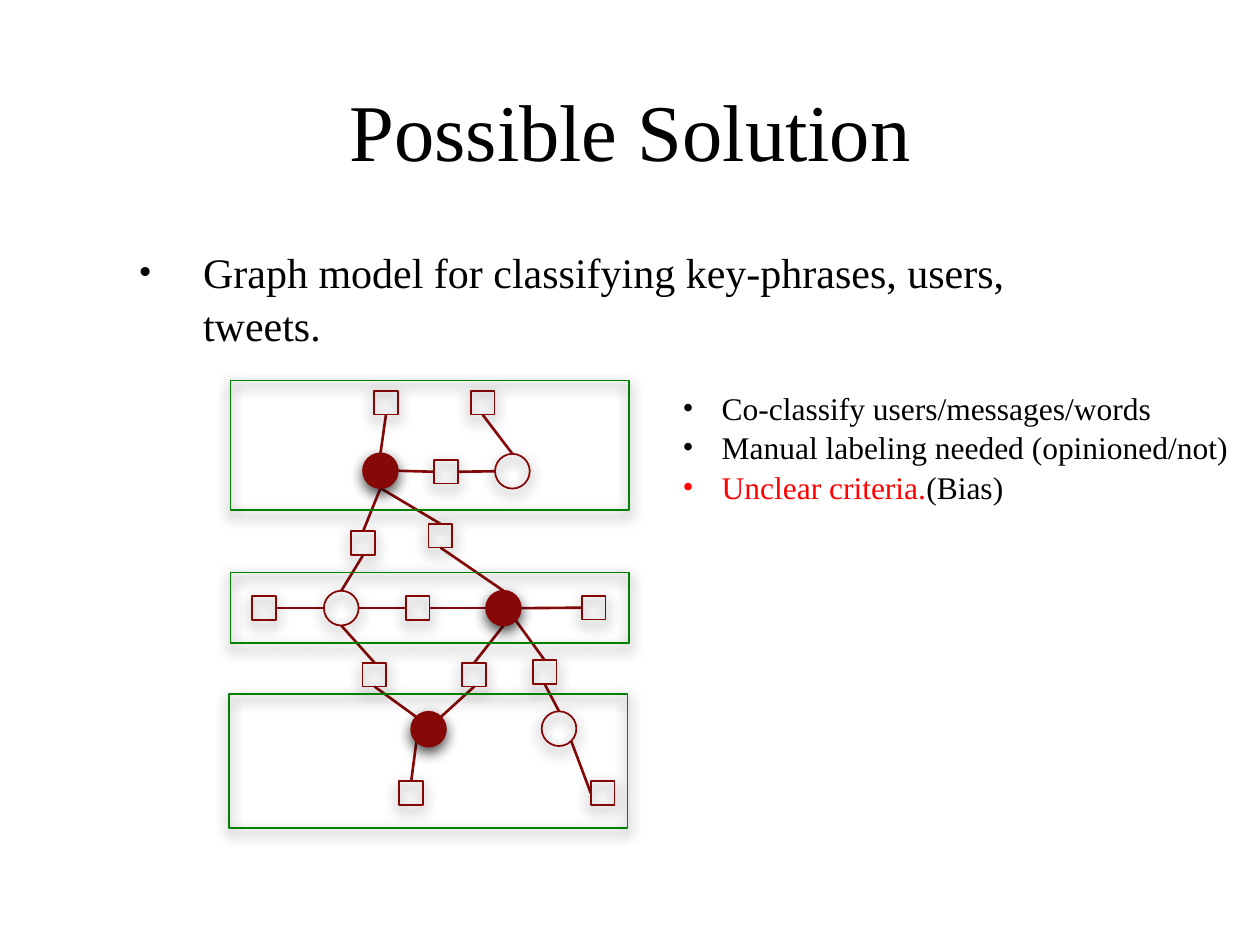
"""Build the slide on a graph model for classifying key-phrases, users and tweets."""
from lxml.etree import SubElement
from pptx import Presentation
from pptx.dml.color import RGBColor
from pptx.enum.shapes import MSO_CONNECTOR, MSO_SHAPE
from pptx.enum.text import MSO_ANCHOR, MSO_AUTO_SIZE, PP_ALIGN
from pptx.oxml.ns import qn
from pptx.util import Cm, Pt


def color(code):
    return RGBColor.from_string(code)


def write(para, text, size=18, ink="000000", indent=0, scale=100, before=0, align=PP_ALIGN.LEFT):
    para.alignment = align
    para.space_before = Pt(before)
    if indent and not para.runs:
        para.line_spacing = 1.05
        props = para._p.get_or_add_pPr()
        props.set("marL", str(Cm(indent)))
        props.set("indent", str(-Cm(indent)))
        SubElement(props, qn("a:buSzPct"), val=str(scale * 1000))
        SubElement(props, qn("a:buFont"), typeface="Times New Roman")
        SubElement(props, qn("a:buChar"), char="•")
    run = para.add_run()
    run.text = text
    run.font.name = "Times New Roman"
    run.font.size = Pt(size)
    run.font.color.rgb = color(ink)


deck = Presentation()
deck.slide_width, deck.slide_height = Cm(25.4), Cm(19.05)
slide = deck.slides.add_slide(deck.slide_layouts[1])

title, body = slide.placeholders
title.left, title.top, title.width, title.height = Cm(2.54), Cm(1.4), Cm(20.32), Cm(2.41)
body.left, body.top, body.width, body.height = Cm(2.54), Cm(4.8), Cm(20.32), Cm(11.28)
for holder in (title, body):
    holder.text_frame.auto_size = MSO_AUTO_SIZE.NONE
title.text_frame.vertical_anchor = MSO_ANCHOR.MIDDLE
write(title.text_frame.paragraphs[0], "Possible Solution", size=46, align=PP_ALIGN.CENTER)
write(body.text_frame.paragraphs[0], "Graph model for classifying key-phrases, users, tweets.",
      size=24, indent=1.3, scale=90, before=20)

circles = {
    "A": (7.67, 9.49, True), "B": (10.33, 9.5, False),
    "C": (6.88, 12.26, False), "D": (10.15, 12.26, True),
    "E": (8.64, 14.7, True), "F": (11.27, 14.69, False),
}
squares = {
    "a": (7.78, 8.12), "b": (9.73, 8.12), "c": (8.99, 9.51), "d": (7.32, 10.95),
    "e": (8.88, 10.8), "f": (5.32, 12.26), "g": (8.42, 12.26), "h": (11.97, 12.25),
    "i": (7.55, 13.6), "j": (9.56, 13.6), "k": (10.98, 13.55),
    "l": (8.29, 15.99), "m": (12.15, 15.99),
}
frames = [(4.65, 7.67, 2.62), (4.65, 11.54, 1.43), (4.62, 13.99, 2.7)]
sides = {
    "n": (0, -0.5), "s": (0, 0.5), "e": (0.5, 0), "w": (-0.5, 0),
    "ne": (0.35, -0.35), "nw": (-0.35, -0.35), "se": (0.35, 0.35), "sw": (-0.35, 0.35),
}
links = [
    "a s A n", "b s B n", "A e c w", "c e B w", "A s d n", "d s C n", "C e g w",
    "g e D w", "A s e n", "e s D n", "f e C w", "D e h w", "C s i n", "i s E nw",
    "D s j n", "j s E ne", "E sw l n", "F se m w", "D se k n", "k s F n",
]
round_size, square_size = 0.7, 0.48

items, nodes = [], {}
for name, (x, y, full) in circles.items():
    size = round_size
    nodes[name] = (x, y, size)
    items.append((MSO_SHAPE.OVAL, x - size / 2, y - size / 2, size, size, "860605", full))
for name, (x, y) in squares.items():
    size = square_size
    nodes[name] = (x, y, size)
    items.append((MSO_SHAPE.RECTANGLE, x - size / 2, y - size / 2, size, size, "860605", False))
for x, y, height in frames:
    items.append((MSO_SHAPE.RECTANGLE, x, y, 8.03, height, "008000", False))

graph = slide.shapes.add_group_shape().shapes
for link in links:
    start, out, end, into = link.split()
    ends = []
    for name, side in ((start, out), (end, into)):
        x, y, size = nodes[name]
        across, down = sides[side]
        ends += [Cm(x + across * size), Cm(y + down * size)]
    line = graph.add_connector(MSO_CONNECTOR.STRAIGHT, *ends)
    line.line.color.rgb = color("860908")
    line.line.width = Pt(1.5)
    SubElement(line._element.spPr, qn("a:effectLst"))

for kind, x, y, width, height, ink, full in items:
    shape = graph.add_shape(kind, Cm(x), Cm(y), Cm(width), Cm(height))
    if full:
        shape.fill.solid()
        shape.fill.fore_color.rgb = color("860908")
    else:
        shape.fill.background()
    shape.line.color.rgb = color(ink)
    shape.line.width = Pt(1)
    shape.shadow.inherit = False
    effects = shape._element.spPr.find(qn("a:effectLst"))
    shade = SubElement(effects, qn("a:outerShdw"), blurRad=str(Pt(8)), dist=str(Pt(3)),
                       dir="5400000", rotWithShape="0")
    black = SubElement(shade, qn("a:srgbClr"), val="000000")
    SubElement(black, qn("a:alpha"), val="75000")

notes = [
    [("Co-classify users/messages/words", "000000")],
    [("Manual labeling needed (opinioned/not)", "000000")],
    [("Unclear criteria.", "FF0000"), ("(Bias)", "000000")],
]
frame = slide.shapes.add_textbox(Cm(13.51), Cm(7.67), Cm(11.81), Cm(2.57)).text_frame
frame.word_wrap = True
for index, parts in enumerate(notes):
    para = frame.add_paragraph() if index else frame.paragraphs[0]
    for text, ink in parts:
        write(para, text, ink=ink, indent=0.79)

deck.save("out.pptx")
